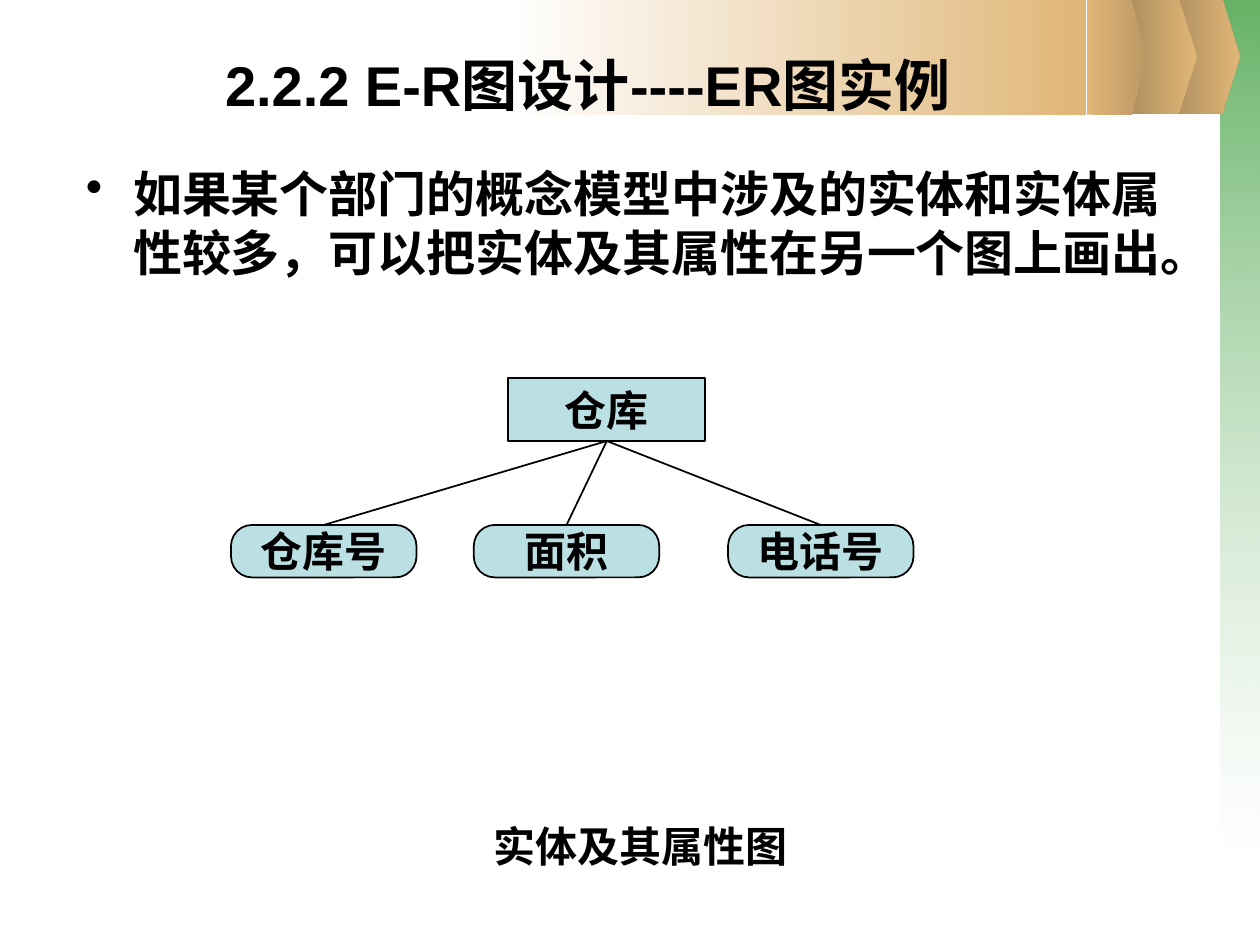
"""Build a slide on an entity and its attributes in an ER diagram."""
from dataclasses import dataclass

import pptx
import pptx.dml.color
import pptx.enum.shapes
import pptx.enum.text
import pptx.oxml
import pptx.oxml.ns
import pptx.util

Pt = pptx.util.Pt
Kind = pptx.enum.shapes.MSO_SHAPE
Align = pptx.enum.text.PP_ALIGN
Anchor = pptx.enum.text.MSO_ANCHOR
qn = pptx.oxml.ns.qn

BLACK, WHITE, TEAL = "000000", "FFFFFF", "BBE0E3"
SAND, BROWN, DUSK, GREEN = "E0B678", "AB8B5C", "BD9965", "339933"


@dataclass
class Box:
    left: float
    top: float
    width: float
    height: float

    def place(self) -> list:
        return [Pt(v) for v in (self.left, self.top, self.width, self.height)]


@dataclass
class Tag:
    left: float
    top: float
    edge: float
    tip: float
    start: str
    end: str


@dataclass
class Node:
    text: str
    box: Box
    kind: object = Kind.ROUNDED_RECTANGLE


def tint(code: str) -> pptx.dml.color.RGBColor:
    return pptx.dml.color.RGBColor.from_string(code)


def blend(shape, start: str, end: str, angle: int = 0, alphas: tuple = ()) -> None:
    shape.shadow.inherit = False
    shape.line.fill.background()
    shape.fill.gradient()
    shape.fill.gradient_angle = angle
    for stop, code in zip(shape.fill.gradient_stops, (start, end)):
        stop.color.rgb = tint(code)
    colors = shape.fill._xPr.iter(qn("a:srgbClr"))
    for color, alpha in zip(colors, alphas):
        color.append(pptx.oxml.parse_xml(
            f'<a:alpha {pptx.oxml.ns.nsdecls("a")} val="{alpha * 1000}"/>'))


def panel(shapes, box: Box, *look) -> None:
    blend(shapes.add_shape(Kind.RECTANGLE, *box.place()), *look)


def draw_tag(shapes, tag: Tag, height: float) -> None:
    low = tag.top + height
    path = shapes.build_freeform(Pt(tag.left), Pt(tag.top))
    points = [(tag.edge, tag.top), (tag.tip, tag.top + height / 2),
              (tag.edge, low), (tag.left, low)]
    path.add_line_segments([(Pt(x), Pt(y)) for x, y in points])
    blend(path.convert_to_shape(), tag.start, tag.end)


def write(shape, text: str, size: float, font: str = "Arial",
          align=Align.CENTER, anchor=Anchor.MIDDLE, wrap: bool = True):
    frame = shape.text_frame
    frame.word_wrap = wrap
    frame.vertical_anchor = anchor
    para = frame.paragraphs[0]
    para.alignment = align
    run = para.add_run()
    run.text = text
    run.font.name, run.font.size, run.font.bold = font, Pt(size), True
    run.font.color.rgb = tint(BLACK)
    return para


def bullet(para, indent: float) -> None:
    props = para._p.get_or_add_pPr()
    props.set("marL", str(Pt(indent)))
    props.set("indent", str(-Pt(indent)))
    props.append(pptx.oxml.parse_xml(
        f'<a:buChar {pptx.oxml.ns.nsdecls("a")} char="•"/>'))


def draw_node(shapes, node: Node):
    shape = shapes.add_shape(node.kind, *node.box.place())
    if node.kind == Kind.ROUNDED_RECTANGLE:
        shape.adjustments[0] = 0.4
    shape.shadow.inherit = False
    shape.fill.solid()
    shape.fill.fore_color.rgb = tint(TEAL)
    shape.line.color.rgb = tint(BLACK)
    shape.line.width = Pt(1)
    write(shape, node.text, 24, "Times New Roman", wrap=False)
    return shape


def link(shapes, head, leaf) -> None:
    line = shapes.add_connector(pptx.enum.shapes.MSO_CONNECTOR.STRAIGHT, 0, 0, 0, 0)
    line.begin_connect(head, 2)
    line.end_connect(leaf, 0)
    line.line.color.rgb = tint(BLACK)
    line.line.width = Pt(1)
    line._element.spPr.append(pptx.oxml.parse_xml(
        f'<a:effectLst {pptx.oxml.ns.nsdecls("a")}/>'))


def main() -> None:
    deck = pptx.Presentation()
    deck.slide_width, deck.slide_height = Pt(720), Pt(540)
    shapes = deck.slides.add_slide(deck.slide_layouts[6]).shapes

    panel(shapes, Box(697.5, 0, 22.5, 487.5), GREEN, WHITE, 270, (75, 37))
    panel(shapes, Box(289.5, 0, 331, 65.5), WHITE, SAND)
    for tag in (Tag(666, -0.5, 698.5, 708.5, BROWN, SAND),
                Tag(641.5, -0.5, 673.5, 684, BROWN, SAND),
                Tag(621.25, 0, 646.5, 654.5, SAND, DUSK)):
        draw_tag(shapes, tag, 65.5)

    title = shapes.add_textbox(*Box(30, 24, 612, 48).place())
    write(title, "2.2.2 E-R图设计----ER图实例", 32)
    body = shapes.add_textbox(*Box(42, 90, 648, 112).place())
    bullet(write(body, "如果某个部门的概念模型中涉及的实体和实体属性较多，"
                 "可以把实体及其属性在另一个图上画出。", 28,
                 align=Align.LEFT, anchor=Anchor.TOP), 27)
    note = shapes.add_textbox(*Box(42, 465, 648, 37).place())
    write(note, "实体及其属性图", 24)

    head = draw_node(shapes, Node("仓库", Box(290.5, 216, 112.5, 36), Kind.RECTANGLE))
    for text, left in (("仓库号", 132), ("面积", 270.75), ("电话号", 416)):
        leaf = draw_node(shapes, Node(text, Box(left, 300, 106, 30)))
        link(shapes, head, leaf)

    deck.save("out.pptx")


if __name__ == "__main__":
    main()
